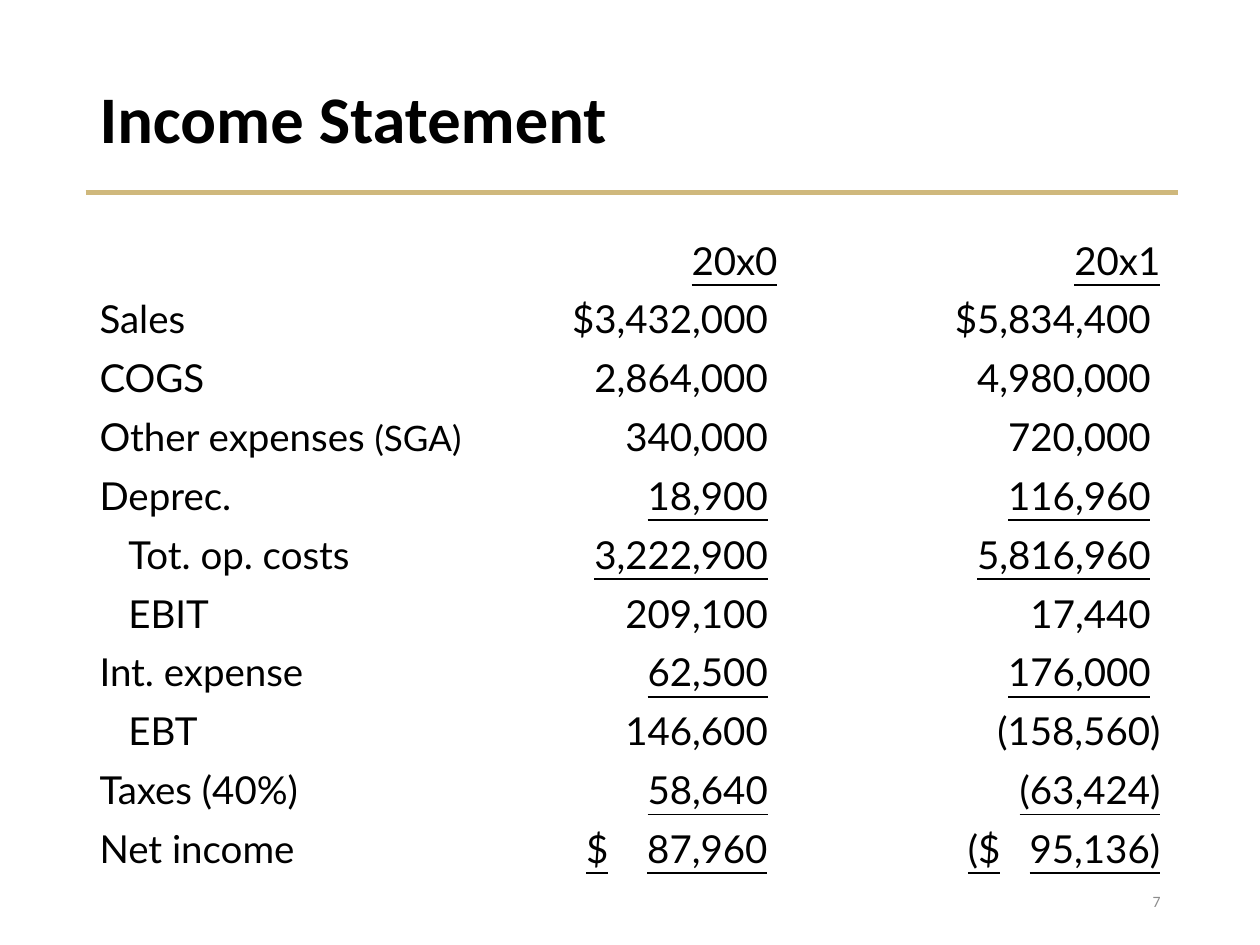
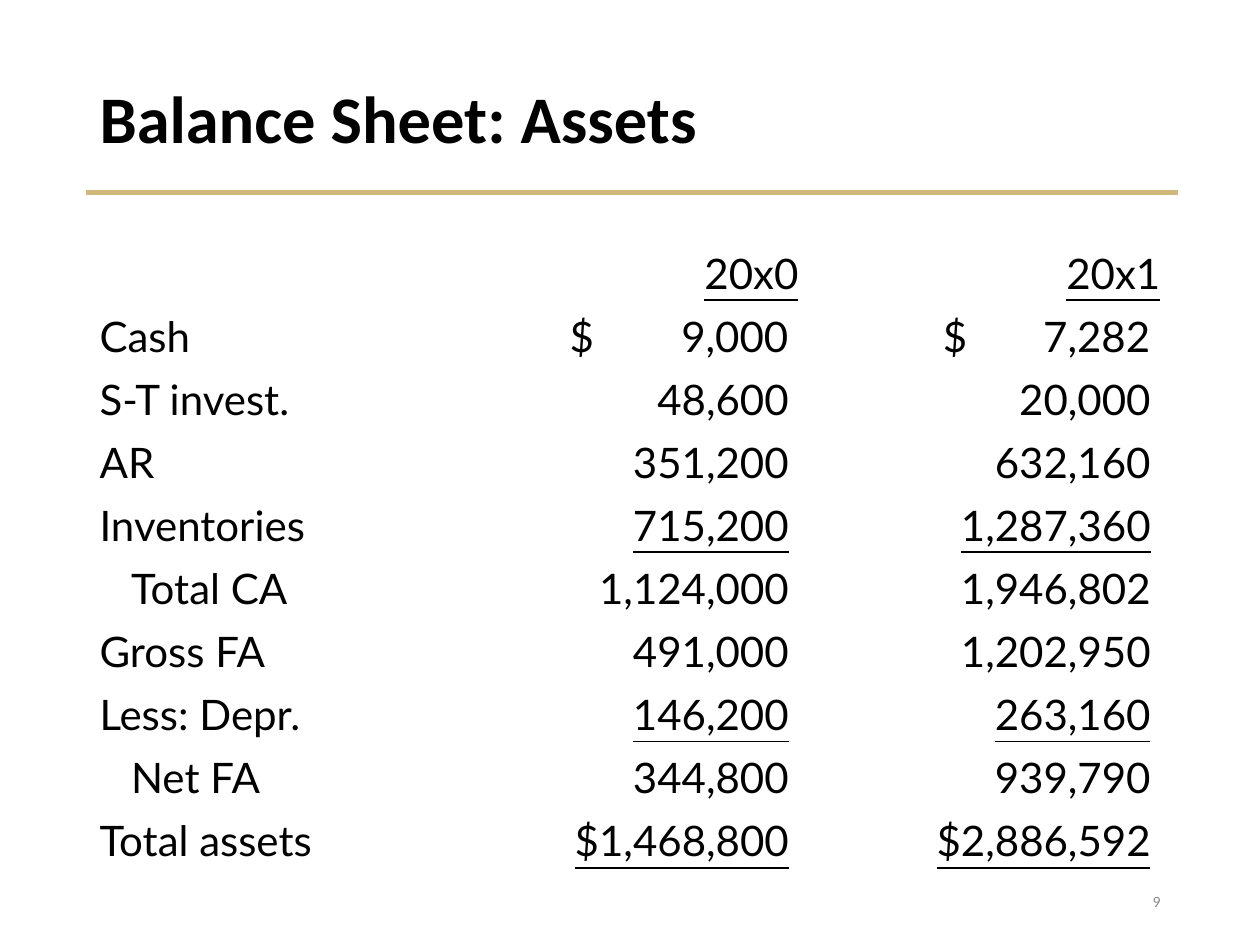
from dataclasses import dataclass

from lxml.etree import SubElement
from pptx import Presentation
from pptx.dml.color import RGBColor
from pptx.enum.shapes import MSO_CONNECTOR as Connector
from pptx.enum.text import MSO_ANCHOR as Anchor, MSO_AUTO_SIZE as AutoSize, PP_ALIGN as Align
from pptx.oxml.ns import qn
from pptx.util import Pt

COLORS = {"ink": "000000", "gold": "CFB87C", "page": "8C8C8C"}
HEADING_FONT = "Calibri"
FIGURE_FONT = "Lato"
LEFT, WIDTH = 49.7, 620.6
CELL_INSET = 7.2
PAREN_ROOM = 5.6


@dataclass(frozen=True)
class Account:
    label: str
    figures: tuple[str, str]
    ruled: bool = False
    indent: float = 0
    note: str = ""


@dataclass(frozen=True)
class Statement:
    title: str
    page: str
    top: float
    columns: tuple[float, float, float]
    row_height: float
    size: float
    anchor: Anchor
    dollar_insets: tuple[float, float]
    accounts: tuple[Account, ...]


YEARS = Account("", ("20x0", "20x1"), ruled=True)

STATEMENTS = (
    Statement(
        "Income Statement", "7", 131.8, (226.8, 175, 218.8), 33.58, 22, Anchor.BOTTOM, (58.4, 101.6),
        (
            YEARS,
            Account("Sales", ("$3,432,000", "$5,834,400")),
            Account("COGS", ("2,864,000", "4,980,000")),
            Account("Other expenses ", ("340,000", "720,000"), note="(SGA)"),
            Account("Deprec.", ("18,900", "116,960"), ruled=True),
            Account("Tot. op. costs", ("3,222,900", "5,816,960"), ruled=True, indent=16.5),
            Account("EBIT", ("209,100", "17,440"), indent=16.5),
            Account("Int. expense", ("62,500", "176,000"), ruled=True),
            Account("EBT", ("146,600", "(158,560)"), indent=16.5),
            Account("Taxes (40%)", ("58,640", "(63,424)"), ruled=True),
            Account("Net income", ("$\t87,960", "($\t95,136)"), ruled=True),
        ),
    ),
    Statement(
        "Balance Sheet: Assets", "9", 138.2, (206.9, 206.9, 206.8), 36, 24, Anchor.TOP, (69, 75.4),
        (
            YEARS,
            Account("Cash", ("$\t9,000", "$\t7,282")),
            Account("S-T invest.", ("48,600", "20,000")),
            Account("AR", ("351,200", "632,160")),
            Account("Inventories", ("715,200", "1,287,360"), ruled=True),
            Account("Total CA", ("1,124,000", "1,946,802"), indent=18),
            Account("Gross FA", ("491,000", "1,202,950")),
            Account("Less: Depr.", ("146,200", "263,160"), ruled=True),
            Account("Net FA", ("344,800", "939,790"), indent=18),
            Account("Total assets", ("$1,468,800", "$2,886,592"), ruled=True),
        ),
    ),
)


def write(paragraph, text: str, *, size: float, font: str = FIGURE_FONT, color: str = "ink",
          bold: bool = False, underline: bool = False, align: Align = Align.LEFT) -> None:
    paragraph.alignment = align
    run = paragraph.add_run()
    run.text = text
    run.font.name = font
    run.font.size = Pt(size)
    run.font.bold = bold
    run.font.underline = underline
    run.font.color.rgb = RGBColor.from_string(COLORS[color])


def add_right_tab(paragraph, position: float) -> None:
    stops = SubElement(paragraph._p.get_or_add_pPr(), qn("a:tabLst"))
    SubElement(stops, qn("a:tab"), pos=str(int(Pt(position))), algn="r")


def draw_heading(slide, text: str) -> None:
    title = slide.shapes.title
    title.left, title.top, title.width, title.height = Pt(LEFT), Pt(28.8), Pt(WIDTH), Pt(81.4)
    frame = title.text_frame
    frame.vertical_anchor = Anchor.MIDDLE
    frame.auto_size = AutoSize.NONE
    frame.paragraphs[0].line_spacing = 0.9
    write(frame.paragraphs[0], text, size=38, font=HEADING_FONT, bold=True)
    rule = slide.shapes.add_connector(Connector.STRAIGHT, Pt(49), Pt(110), Pt(673.2), Pt(110))
    rule.line.color.rgb = RGBColor.from_string(COLORS["gold"])
    rule.line.width = Pt(3)
    SubElement(rule._element.spPr, qn("a:effectLst"))


def draw_page_number(slide, number: str) -> None:
    footer = slide.shapes.add_textbox(Pt(508.3), Pt(500.4), Pt(162), Pt(28.8))
    frame = footer.text_frame
    frame.word_wrap = True
    frame.vertical_anchor = Anchor.MIDDLE
    write(frame.paragraphs[0], number, size=9, font=HEADING_FONT, color="page", align=Align.RIGHT)


def fill_figure(cell, figure: str, account: Account, size: float, width: float,
                dollar_inset: float) -> None:
    flush = account is YEARS or figure.endswith(")")
    right = CELL_INSET + (0 if flush else PAREN_ROOM)
    cell.margin_right = Pt(right)
    paragraph = cell.text_frame.paragraphs[0]
    align = Align.RIGHT
    if "\t" in figure:
        align = Align.LEFT
        cell.margin_left = Pt(dollar_inset)
        add_right_tab(paragraph, width - dollar_inset - right - 0.2)
    write(paragraph, figure, size=size, underline=account.ruled, align=align)


def draw_accounts(slide, statement: Statement) -> None:
    count = len(statement.accounts)
    table = slide.shapes.add_table(count, 3, Pt(LEFT), Pt(statement.top), Pt(WIDTH),
                                   Pt(statement.row_height * count)).table
    table.first_row = table.horz_banding = False
    for column, width in zip(table.columns, statement.columns):
        column.width = Pt(width)
    for row, account in zip(table.rows, statement.accounts):
        row.height = Pt(statement.row_height)
        for cell in row.cells:
            cell.fill.background()
            cell.vertical_anchor = statement.anchor
        label, *figures = row.cells
        if account.label:
            label.margin_left = Pt(CELL_INSET + account.indent)
            write(label.text_frame.paragraphs[0], account.label, size=statement.size)
        if account.note:
            write(label.text_frame.paragraphs[0], account.note, size=20)
        for cell, figure, width, inset in zip(figures, account.figures, statement.columns[1:],
                                              statement.dollar_insets):
            fill_figure(cell, figure, account, statement.size, width, inset)


def main() -> None:
    deck = Presentation()
    deck.slide_width, deck.slide_height = Pt(720), Pt(540)
    for statement in STATEMENTS:
        slide = deck.slides.add_slide(deck.slide_layouts[5])
        draw_heading(slide, statement.title)
        draw_accounts(slide, statement)
        draw_page_number(slide, statement.page)
    deck.save("out.pptx")


if __name__ == "__main__":
    main()
